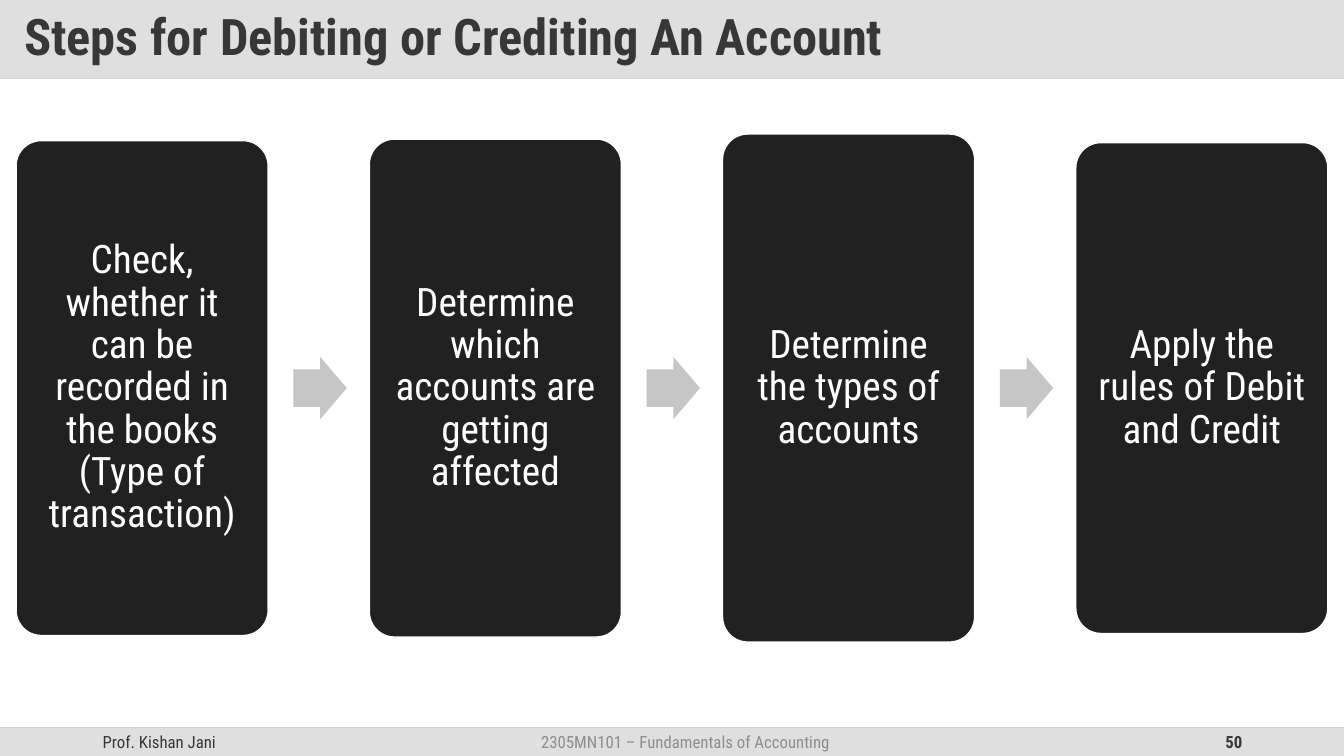
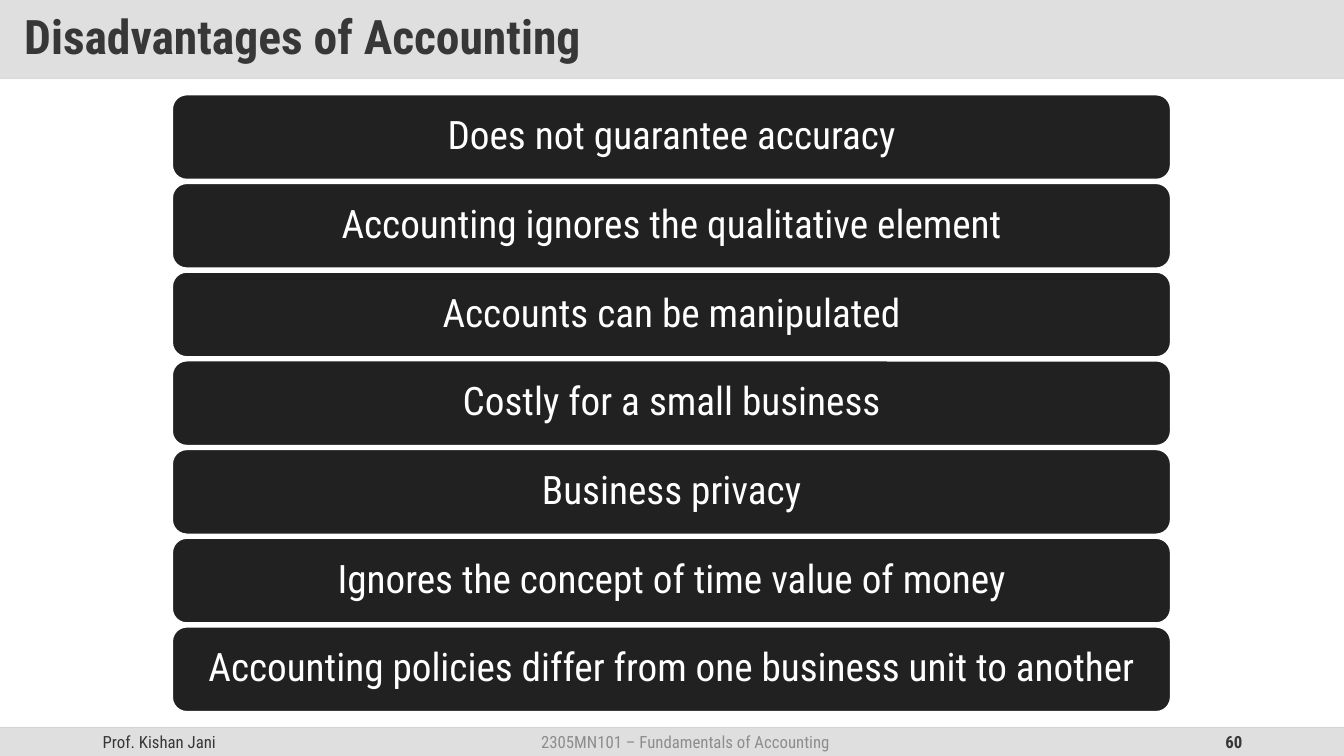
from dataclasses import dataclass

from lxml import etree
from pptx import Presentation
from pptx.dml.color import RGBColor
from pptx.enum.shapes import MSO_CONNECTOR, MSO_SHAPE
from pptx.enum.text import MSO_ANCHOR, PP_ALIGN
from pptx.oxml.ns import qn
from pptx.util import Inches, Pt

RECTANGLE = MSO_SHAPE.RECTANGLE
ROUNDED = MSO_SHAPE.ROUNDED_RECTANGLE
ARROW = MSO_SHAPE.RIGHT_ARROW
STRAIGHT = MSO_CONNECTOR.STRAIGHT
MIDDLE = MSO_ANCHOR.MIDDLE
LEFT, CENTER, RIGHT = PP_ALIGN.LEFT, PP_ALIGN.CENTER, PP_ALIGN.RIGHT


@dataclass(frozen=True)
class Theme:
    font: str = "Roboto Condensed"
    band: str = "DFDFDF"
    title_rule: str = "D9D9D9"
    footer_rule: str = "D2D2D2"
    ink: str = "373737"
    muted: str = "8D8D8D"
    card: str = "212121"
    arrow: str = "C6C6C6"
    white: str = "FFFFFF"
    body_size: int = 28
    footer_size: int = 12


THEME = Theme()
WIDTH, HEIGHT = 13.33, 7.5
TITLE_HEIGHT, FOOTER_HEIGHT = 0.78, 0.28
FOOTER_TOP = HEIGHT - FOOTER_HEIGHT

AUTHOR = "Prof. Kishan Jani"
COURSE = "2305MN101 – Fundamentals of Accounting"

# Each step with the height of its card
STEPS = [
    ("Check, whether it can be recorded in the books (Type of transaction)", 4.91),
    ("Determine which accounts are getting affected", 4.94),
    ("Determine the types of accounts", 5.04),
    ("Apply the rules of Debit and Credit", 4.87),
]
DISADVANTAGES = [
    "Does not guarantee accuracy",
    "Accounting ignores the qualitative element",
    "Accounts can be manipulated",
    "Costly for a small business",
    "Business privacy",
    "Ignores the concept of time value of money",
    "Accounting policies differ from one business unit to another",
]


def add_block(page, kind, box, fill, outline=None, adjustments=()):
    block = page.shapes.add_shape(kind, *map(Inches, box))
    block.shadow.inherit = False
    block.fill.solid()
    block.fill.fore_color.rgb = RGBColor.from_string(fill)
    if outline:
        block.line.color.rgb = RGBColor.from_string(outline)
        block.line.width = Pt(1)
    else:
        block.line.fill.background()
    for index, value in enumerate(adjustments):
        block.adjustments[index] = value
    return block


def write(shape, text, size, color, align=LEFT, bold=False, insets=(0.1, 0.05), spacing=1.0):
    """Fill a shape with one paragraph; insets are horizontal, then vertical."""
    frame = shape.text_frame
    across, down = map(Inches, insets)
    frame_format = {
        "word_wrap": True, "vertical_anchor": MIDDLE,
        "margin_left": across, "margin_right": across,
        "margin_top": down, "margin_bottom": down,
    }
    for name, value in frame_format.items():
        setattr(frame, name, value)
    para = frame.paragraphs[0]
    para.alignment = align
    para.line_spacing = spacing
    span = para.add_run()
    span.text = text
    for name, value in {"name": THEME.font, "size": Pt(size), "bold": bold}.items():
        setattr(span.font, name, value)
    span.font.color.rgb = RGBColor.from_string(color)


def add_rule(page, top, color):
    rule = page.shapes.add_connector(STRAIGHT, 0, Inches(top), Inches(WIDTH), Inches(top))
    rule.line.color.rgb = RGBColor.from_string(color)
    rule.line.width = Pt(1)
    etree.SubElement(rule.line._ln.getparent(), qn("a:effectLst"))


def add_title(page, text, size):
    band = add_block(page, RECTANGLE, (0, 0, WIDTH, TITLE_HEIGHT), THEME.band)
    write(band, text, size, THEME.ink, bold=True, insets=(0.24, 0.12), spacing=0.9)
    add_rule(page, TITLE_HEIGHT, THEME.title_rule)


def add_footer(page, number):
    add_rule(page, FOOTER_TOP, THEME.footer_rule)
    add_block(page, RECTANGLE, (0, FOOTER_TOP, WIDTH, FOOTER_HEIGHT), THEME.band)
    parts = [
        (0.92, 3, AUTHOR, THEME.ink, LEFT, False),
        (9.42, 3, str(number), THEME.ink, RIGHT, True),
        (4.18, 5.24, COURSE, THEME.muted, CENTER, False),
    ]
    for left, width, text, color, align, bold in parts:
        box = (left, FOOTER_TOP, width, FOOTER_HEIGHT)
        label = page.shapes.add_textbox(*map(Inches, box))
        write(label, text, THEME.footer_size, color, align, bold)


def add_card(page, box, text, corner, insets):
    card = add_block(page, ROUNDED, box, THEME.card, THEME.white, [corner])
    write(card, text, THEME.body_size, THEME.white, CENTER, insets=insets, spacing=0.9)


def add_process(page, box, steps):
    """Cards spread across the box, centred on its middle, with arrows between."""
    left, top, width, height = box
    card_width, arrow_width, arrow_height = 2.5, 0.53, 0.62
    pitch = (width - card_width) / (len(steps) - 1)
    middle = top + height / 2
    for index, (text, card_height) in enumerate(steps):
        card_left = left + index * pitch
        if index:
            arrow_left = card_left - pitch + card_width + 0.25
            arrow_box = (arrow_left, middle - arrow_height / 2, arrow_width, arrow_height)
            add_block(page, ARROW, arrow_box, THEME.arrow, adjustments=(0.6, 0.5))
        card_box = (card_left, middle - card_height / 2, card_width, card_height)
        add_card(page, card_box, text, 0.1, (0.12, 0.12))


def add_stack(page, box, items):
    """Equal rows filling the box from top to bottom."""
    left, top, width, height = box
    gap = 0.04
    row_height = (height + gap) / len(items) - gap
    for index, text in enumerate(items):
        row_box = (left, top + index * (row_height + gap), width, row_height)
        add_card(page, row_box, text, 0.17, (0.12, 0.06))


def add_page(deck, title, title_size, number):
    page = deck.slides.add_slide(deck.slide_layouts[6])
    add_title(page, title, title_size)
    add_footer(page, number)
    return page


def main():
    deck = Presentation()
    deck.slide_width, deck.slide_height = Inches(WIDTH), Inches(HEIGHT)
    page = add_page(deck, "Steps for Debiting or Crediting An Account", 36, 50)
    add_process(page, (0.16, 1.33, 13.01, 5.04), STEPS)
    page = add_page(deck, "Disadvantages of Accounting", 34, 60)
    add_stack(page, (1.71, 0.94, 9.9, 6.12), DISADVANTAGES)
    deck.save("out.pptx")


if __name__ == "__main__":
    main()
